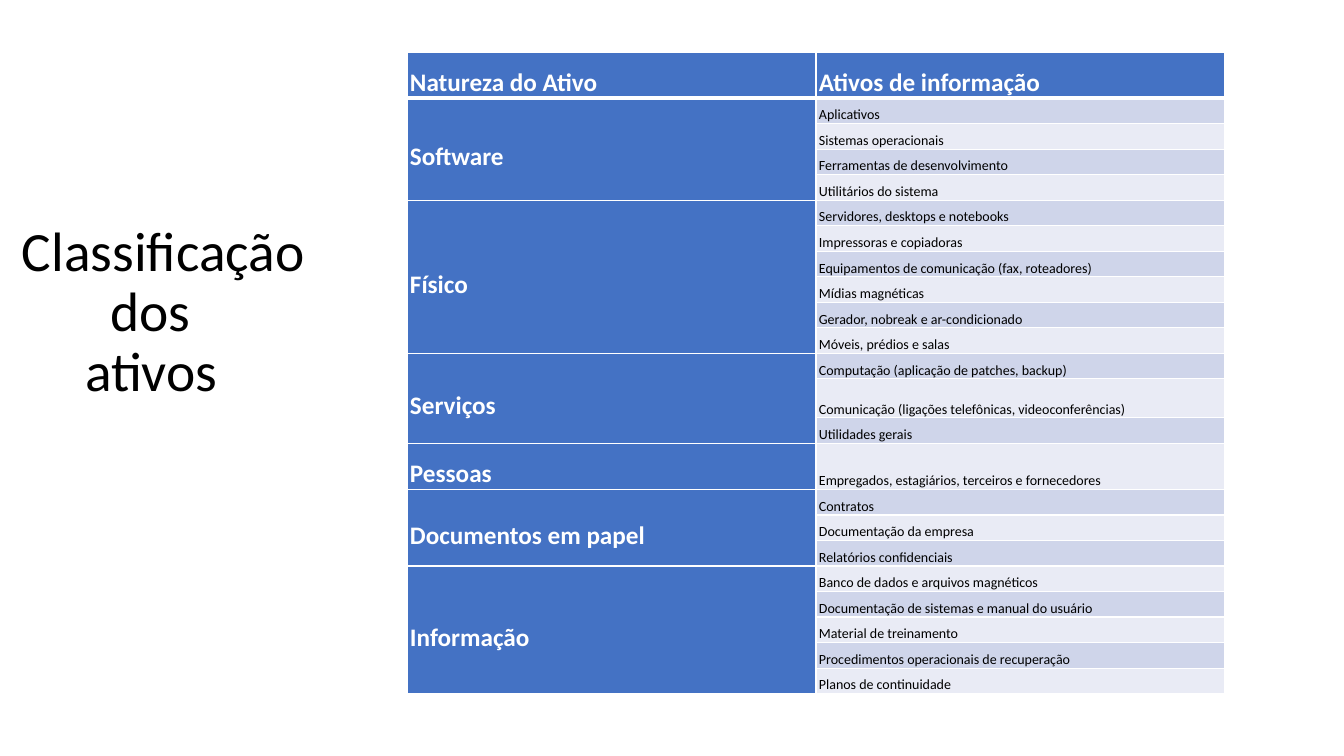
from lxml.etree import SubElement
from pptx import Presentation
from pptx.dml.color import RGBColor
from pptx.enum.text import MSO_ANCHOR, PP_ALIGN
from pptx.oxml.ns import qn
from pptx.util import Pt

PIXEL = 914400 / 100.8
ROW_HEIGHT = 25
HEADER_HEIGHT = 46
TALL_ROWS = {"Comunicação (ligações telefônicas, videoconferências)": 39,
             "Empregados, estagiários, terceiros e fornecedores": HEADER_HEIGHT}
BLUE, WHITE, BLACK = "4472C4", "FFFFFF", "000000"
BANDS = ["E9EBF5", "CFD5EA"]
TITLE_LINES = [("Classificação", 22), ("dos", 110), ("ativos", 85)]
ASSETS = [
    ("Software", ["Aplicativos", "Sistemas operacionais", "Ferramentas de desenvolvimento",
                  "Utilitários do sistema"]),
    ("Físico", ["Servidores, desktops e notebooks", "Impressoras e copiadoras",
                "Equipamentos de comunicação (fax, roteadores)", "Mídias magnéticas",
                "Gerador, nobreak e ar-condicionado", "Móveis, prédios e salas"]),
    ("Serviços", ["Computação (aplicação de patches, backup)",
                  "Comunicação (ligações telefônicas, videoconferências)", "Utilidades gerais"]),
    ("Pessoas", ["Empregados, estagiários, terceiros e fornecedores"]),
    ("Documentos em papel", ["Contratos", "Documentação da empresa", "Relatórios confidenciais"]),
    ("Informação", ["Banco de dados e arquivos magnéticos",
                    "Documentação de sistemas e manual do usuário", "Material de treinamento",
                    "Procedimentos operacionais de recuperação", "Planos de continuidade"]),
]


def pixels(*lengths):
    return [round(length * PIXEL) for length in lengths]


def style_cell(cell, text, fill, heading, edges):
    cell.margin_left, cell.margin_right, cell.margin_top, cell.margin_bottom = pixels(3, 3, 0, 0)
    cell.vertical_anchor = MSO_ANCHOR.MIDDLE if heading else MSO_ANCHOR.BOTTOM
    properties = cell._tc.get_or_add_tcPr()
    for side, width in zip(("a:lnL", "a:lnR", "a:lnT", "a:lnB"), edges):
        line = SubElement(properties, qn(side), w=str(Pt(width)))
        SubElement(SubElement(line, qn("a:solidFill")), qn("a:srgbClr"), val=WHITE)
    cell.fill.solid()
    cell.fill.fore_color.rgb = RGBColor.from_string(fill)
    para = cell.text_frame.paragraphs[0]
    para.text = text
    para.alignment = PP_ALIGN.JUSTIFY
    para.line_spacing = 1.5
    para.font.name = "Calibri"
    para.font.size = Pt(18 if heading else 10)
    para.font.bold = heading
    para.font.color.rgb = RGBColor.from_string(WHITE if heading else BLACK)


deck = Presentation()
deck.slide_width, deck.slide_height = pixels(1344, 756)
page = deck.slides.add_slide(deck.slide_layouts[5])

title = page.shapes.title
title.left, title.top, title.width, title.height = pixels(0, 224, 400, 182)
frame = title.text_frame
frame.word_wrap = True
frame.vertical_anchor = MSO_ANCHOR.TOP
frame.margin_left = frame.margin_right = frame.margin_top = frame.margin_bottom = 0
frame.text = "\n".join(text for text, indent in TITLE_LINES)
for para, (text, indent) in zip(frame.paragraphs, TITLE_LINES):
    para.alignment = PP_ALIGN.LEFT
    para.line_spacing = 0.9
    para.font.name = "Calibri"
    para.font.size = Pt(39.6)
    para.font.color.rgb = RGBColor.from_string(BLACK)
    para._p.get_or_add_pPr().set("marL", str(pixels(indent)[0]))

items = [item for nature, group in ASSETS for item in group]
heights = [HEADER_HEIGHT] + [TALL_ROWS.get(item, ROW_HEIGHT) for item in items]
table = page.shapes.add_table(len(heights), 2, *pixels(407, 52, 818, sum(heights))).table
table.horz_banding = False
for column in table.columns:
    column.width = pixels(409)[0]
for row, height in zip(table.rows, pixels(*heights)):
    row.height = height

for column, heading in enumerate(["Natureza do Ativo", "Ativos de informação"]):
    style_cell(table.cell(0, column), heading, BLUE, True, (1, 1, 1, 3))
row = 1
for nature, group in ASSETS:
    first = row
    for item in group:
        edges = (1, 1, 3 if row == 1 else 1, 1)
        style_cell(table.cell(row, 0), nature if row == first else "", BLUE, True, edges)
        style_cell(table.cell(row, 1), item, BANDS[row % 2], False, edges)
        row += 1
    if len(group) > 1:
        table.cell(first, 0).merge(table.cell(row - 1, 0))

deck.save("out.pptx")
